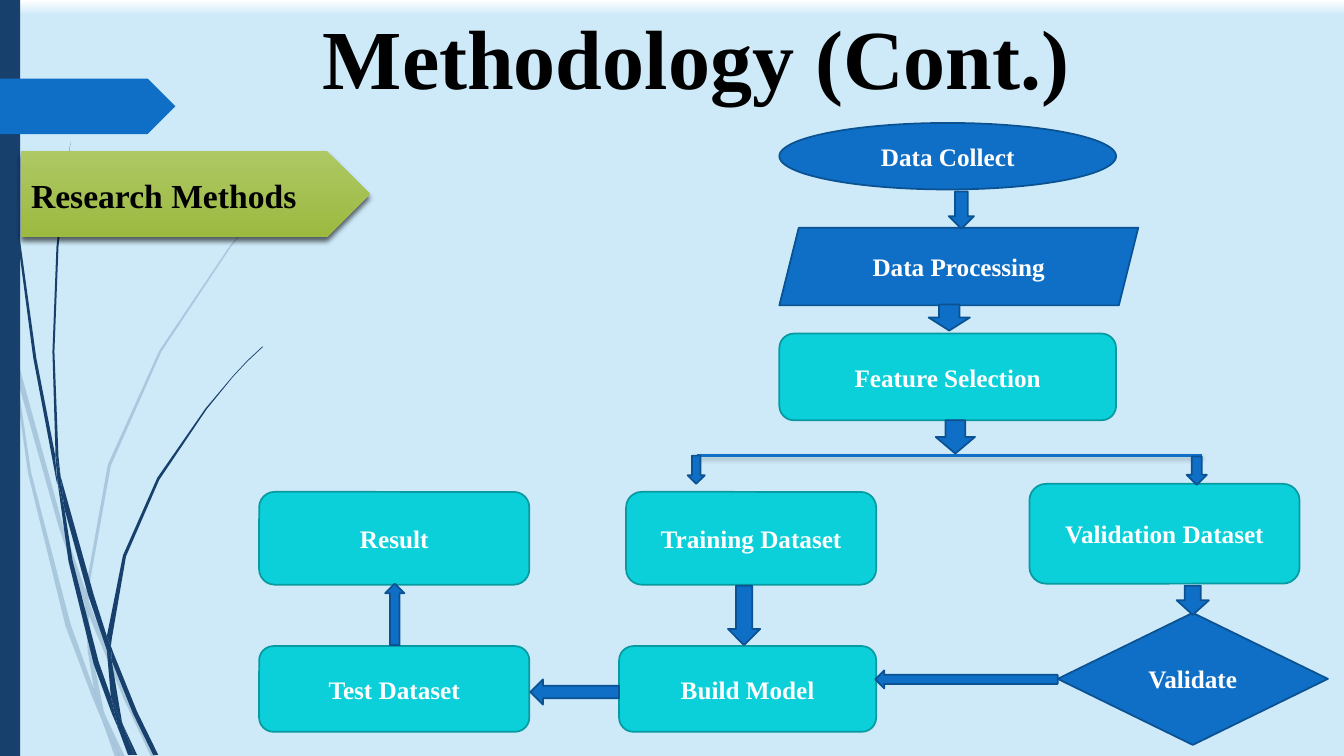
from lxml import etree
from pptx import Presentation
from pptx.dml.color import RGBColor
from pptx.enum.shapes import MSO_CONNECTOR, MSO_SHAPE
from pptx.enum.text import MSO_ANCHOR, PP_ALIGN
from pptx.oxml.ns import qn
from pptx.util import Pt

PX = 9144  # 100 px to the inch
FONT = "Times New Roman"
NAVY, BLUE, BLUE_EDGE = "17406D", "0F6FC6", "0B5292"
CYAN, CYAN_EDGE, SKY = "0BD0D9", "089AA1", "CEEAF9"
WHITE, BLACK = "FFFFFF", "000000"
LIMES = ("AEC864", "9CB940")
RECT, ROUNDED, ELLIPSE = MSO_SHAPE.RECTANGLE, MSO_SHAPE.ROUNDED_RECTANGLE, MSO_SHAPE.OVAL
SLANTED, DIAMOND, PLATE = MSO_SHAPE.PARALLELOGRAM, MSO_SHAPE.DIAMOND, MSO_SHAPE.PENTAGON
DOWN, LEFT, UP = MSO_SHAPE.DOWN_ARROW, MSO_SHAPE.LEFT_ARROW, MSO_SHAPE.UP_ARROW
MIDDLE, CENTER, START = MSO_ANCHOR.MIDDLE, PP_ALIGN.CENTER, PP_ALIGN.LEFT

# Outlines of the grass blades, cut where blades cross
PALE_BLADES = [
    [(11, 350), (9, 322), (0, 282), (0, 299), (10, 344)],
    [(58, 522), (84, 599), (85, 586), (62, 520), (14, 345), (17, 376)],
    [(92, 607), (88, 596), (88, 610), (123, 694), (150, 751), (155, 751), (127, 692)],
    [(119, 751), (124, 751), (105, 711)],
    [(93, 683), (70, 619), (31, 469), (17, 376), (11, 350), (28, 470), (65, 621),
     (92, 693), (101, 714), (99, 707)],
    [(84, 599), (87, 646), (93, 683), (96, 692), (105, 711), (103, 706), (91, 646),
     (88, 610), (88, 608)],
    [(88, 584), (110, 462), (160, 349), (229, 245), (268, 198), (290, 175), (312, 154),
     (312, 153), (289, 175), (268, 197), (228, 244), (158, 348), (107, 461), (85, 584),
     (85, 586), (88, 596)],
    [(101, 714), (114, 751), (119, 751)],
    [(88, 608), (88, 610), (88, 596), (85, 586), (84, 599)],
    [(96, 692), (93, 683), (99, 707), (101, 714), (119, 751), (105, 711)],
]
DARK_BLADES = [
    [(7, 110), (17, 233), (33, 355), (56, 477), (57, 481), (55, 457), (55, 453), (36, 355),
     (19, 232), (8, 109), (5, 48), (4, 0), (3, 0), (4, 48)],
    [(88, 592), (106, 645), (106, 633), (106, 631), (93, 590), (60, 472), (64, 505)],
    [(113, 649), (110, 641), (111, 656), (132, 708), (152, 749), (157, 749), (136, 706)],
    [(110, 691), (98, 657), (72, 556), (64, 505), (57, 477), (68, 557), (93, 659),
     (111, 708), (117, 722), (116, 717)],
    [(60, 472), (58, 453), (54, 349), (58, 245), (63, 193), (70, 141), (62, 193),
     (56, 245), (52, 349), (55, 449)],
    [(133, 749), (136, 749), (122, 719)],
    [(57, 477), (64, 505), (60, 472), (55, 449), (55, 453)],
    [(111, 633), (125, 552), (158, 476), (205, 406), (231, 374), (245, 359), (261, 344),
     (260, 344), (245, 358), (231, 373), (204, 405), (156, 474), (122, 551), (106, 631),
     (110, 641)],
    [(117, 722), (127, 749), (131, 749)],
    [(106, 645), (110, 691), (116, 706), (122, 719), (121, 716), (111, 656), (109, 651)],
    [(106, 645), (109, 651), (111, 656), (110, 641), (106, 631), (106, 633)],
    [(116, 706), (110, 691), (116, 717), (117, 722), (130, 749), (133, 749), (122, 719)],
]

# Places in the flow chart are measured from its top left corner
STEPS = [
    ("Build Model", ROUNDED, (357, 519, 255, 85)),
    ("Result", ROUNDED, (0, 366, 268, 92)),
    ("Training Dataset", ROUNDED, (364, 366, 248, 92)),
    ("Validation Dataset", ROUNDED, (764, 358, 268, 99)),
    ("Test Dataset", ROUNDED, (0, 519, 268, 85)),
    ("Feature Selection", ROUNDED, (516, 209, 334, 86)),
    ("Data Collect", ELLIPSE, (516, 0, 334, 66)),
    ("Data Processing", SLANTED, (516, 104, 356, 77)),
    ("Validate", DIAMOND, (792, 486, 268, 131)),
]
SPLIT = (434, 935, 330)
ARROWS = [
    (DOWN, (671, 295, 39, 33)),
    (DOWN, (425, 330, 17, 28)),
    (DOWN, (920, 331, 20, 28)),
    (DOWN, (684, 68, 25, 37)),
    (DOWN, (910, 459, 32, 29)),
    (DOWN, (664, 180, 41, 26)),
    (DOWN, (465, 459, 32, 59)),
    (LEFT, (269, 552, 88, 25)),
    (UP, (125, 457, 19, 61)),
    (LEFT, (611, 543, 181, 18)),
]


def color(value):
    return RGBColor.from_string(value)


def emu(*lengths):
    return [length * PX for length in lengths]


def paint(shape, fill, edge=None):
    shape.shadow.inherit = False
    shape.fill.solid()
    shape.fill.fore_color.rgb = color(fill)
    if edge:
        shape.line.color.rgb = color(edge)
        shape.line.width = Pt(1.25)
    else:
        shape.line.fill.background()


def paint_gradient(fill, stops):
    """Fill from top to bottom with two (position, colour) stops."""
    fill.gradient()
    fill.gradient_angle = 270
    for stop, (position, value) in zip(fill.gradient_stops, stops):
        stop.position = position
        stop.color.rgb = color(value)


def cast_shadow(item, opacity, blur, distance):
    """Give a shape or connector a soft shadow straight below it."""
    properties = item.element.spPr
    effects = properties.find(qn("a:effectLst"))
    if effects is None:
        effects = etree.SubElement(properties, qn("a:effectLst"))
    shadow = etree.SubElement(effects, qn("a:outerShdw"), blurRad=str(Pt(blur)),
                              dist=str(Pt(distance)), dir="5400000", rotWithShape="0")
    tint = etree.SubElement(shadow, qn("a:srgbClr"), val=BLACK)
    etree.SubElement(tint, qn("a:alpha"), val=str(opacity * 1000))


def write(shape, text, size, value, align=CENTER):
    frame = shape.text_frame
    frame.word_wrap = True
    frame.vertical_anchor = MIDDLE
    para = frame.paragraphs[0]
    para.text = text
    para.alignment = align
    para.font.name = FONT
    para.font.size = Pt(size)
    para.font.bold = True
    para.font.color.rgb = color(value)
    return para


def add_blades(page, blades, opacity=100):
    for outline in blades:
        start, *others = [emu(*point) for point in outline]
        builder = page.shapes.build_freeform(*start)
        builder.add_line_segments(others, close=True)
        blade = builder.convert_to_shape()
        paint(blade, NAVY)
        if opacity < 100:
            tint = blade.element.spPr.find(qn("a:solidFill"))[0]
            etree.SubElement(tint, qn("a:alpha"), val=str(opacity * 1000))


def add_backdrop(page):
    paint_gradient(page.background.fill, [(0, WHITE), (0.02, SKY)])
    add_blades(page, PALE_BLADES, opacity=20)
    add_blades(page, DARK_BLADES)
    paint(page.shapes.add_shape(RECT, *emu(0, 0, 20, 750)), NAVY)
    paint(page.shapes.add_shape(PLATE, *emu(0, 78, 174, 55)), BLUE)


def add_title(page, box):
    title = page.shapes.add_textbox(*emu(*box))
    write(title, "Methodology (Cont.)", 60, BLACK)
    title.text_frame.margin_bottom = 26 * PX


def add_section_label(page, box):
    label = page.shapes.add_shape(PLATE, *emu(*box))
    paint(label, LIMES[0])
    paint_gradient(label.fill, list(enumerate(LIMES)))
    cast_shadow(label, opacity=60, blur=4, distance=3)
    para = write(label, "Research Methods", 24, BLACK, START)
    para.line_spacing = 1.07
    para.space_after = Pt(8)


def add_flow_chart(page, left, top):
    def add_part(kind, place):
        x, y, width, height = place
        return page.shapes.add_shape(kind, *emu(left + x, top + y, width, height))

    for text, kind, place in STEPS:
        step = add_part(kind, place)
        paint(step, *((CYAN, CYAN_EDGE) if kind == ROUNDED else (BLUE, BLUE_EDGE)))
        write(step, text, 18, WHITE)
    start, end, level = SPLIT
    split = page.shapes.add_connector(
        MSO_CONNECTOR.STRAIGHT, *emu(left + start, top + level, left + end, top + level))
    split.line.color.rgb = color(BLUE)
    split.line.width = Pt(1.75)
    cast_shadow(split, opacity=25, blur=3, distance=2)
    for kind, place in ARROWS:
        paint(add_part(kind, place), BLUE, BLUE_EDGE)


def main():
    deck = Presentation()
    deck.slide_width, deck.slide_height = emu(1333, 750)
    page = deck.slides.add_slide(deck.slide_layouts[6])
    add_backdrop(page)
    add_title(page, (194, 0, 993, 131))
    add_section_label(page, (21, 150, 346, 85))
    add_flow_chart(page, 257, 122)
    deck.save("out.pptx")


if __name__ == "__main__":
    main()
